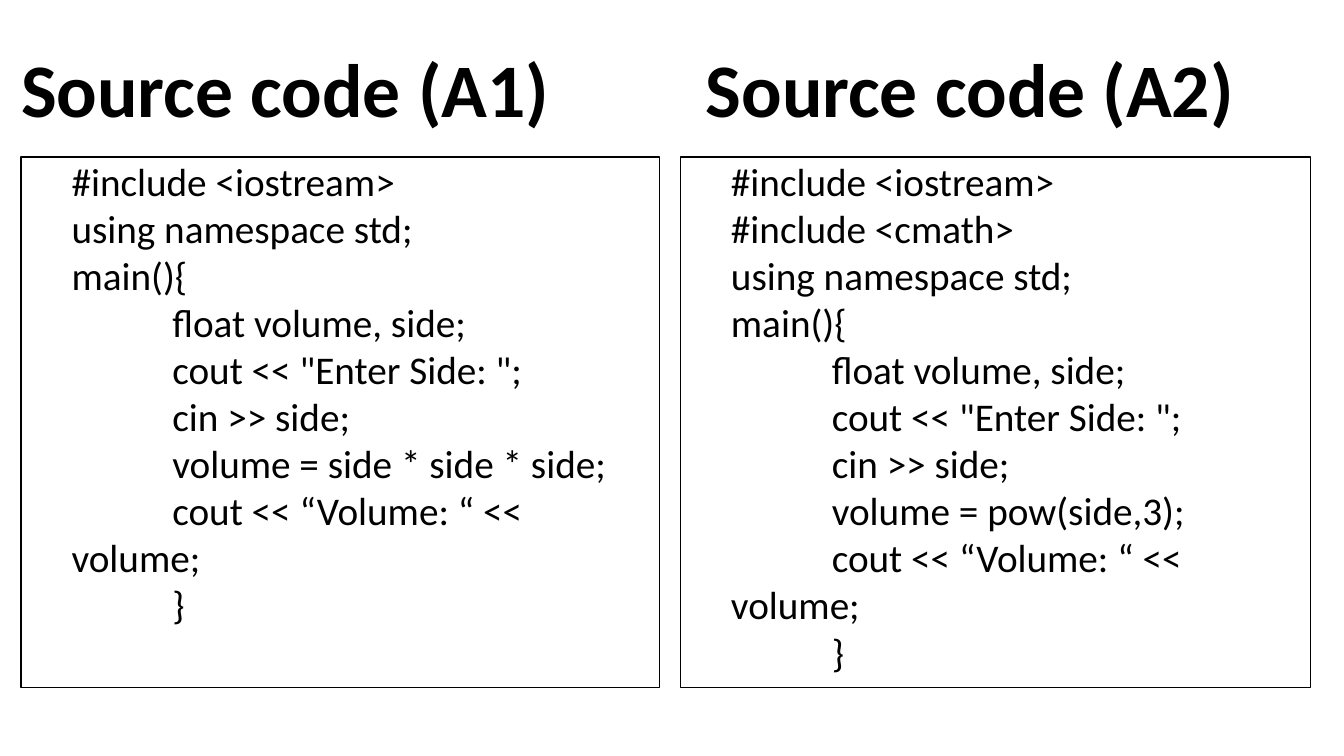
from pptx import Presentation
from pptx.dml.color import RGBColor
from pptx.enum.shapes import MSO_SHAPE
from pptx.enum.text import MSO_ANCHOR, PP_ALIGN
from pptx.util import Inches, Pt

FONT = "Calibri"
COLORS = {"ink": "000000", "paper": "FFFFFF"}

CODE_A1 = """#include <iostream>
using namespace std;
main(){
\tfloat volume, side;
\tcout << "Enter Side: ";
\tcin >> side;
\tvolume = side * side * side;
\tcout << “Volume: “ << volume;
\t}"""
CODE_A2 = CODE_A1.replace("using", "#include <cmath>\nusing").replace(
    "side * side * side", "pow(side,3)")


def color(name):
    return RGBColor.from_string(COLORS[name])


def set_frame(tf, right=0):
    tf.word_wrap = True
    tf.vertical_anchor = MSO_ANCHOR.TOP
    tf.margin_left = tf.margin_top = tf.margin_bottom = 0
    tf.margin_right = Inches(right)


def format_text(p, size, bold=False):
    p.alignment = PP_ALIGN.LEFT
    for r in p.runs:
        r.font.name = FONT
        r.font.size = Pt(size)
        r.font.bold = bold
        r.font.color.rgb = color("ink")


def add_title(slide, left, text):
    sp = slide.shapes.add_textbox(Inches(left), Inches(0.42), Inches(6.33), Inches(0.8))
    tf = sp.text_frame
    set_frame(tf)
    tf.text = text
    format_text(tf.paragraphs[0], 54, bold=True)


def add_code_box(slide, left, width, code):
    sp = slide.shapes.add_shape(MSO_SHAPE.RECTANGLE, Inches(left), Inches(1.56),
                                Inches(width), Inches(5.26))
    sp.shadow.inherit = False
    sp.fill.solid()
    sp.fill.fore_color.rgb = color("paper")
    sp.line.color.rgb = color("ink")
    sp.line.width = Pt(1)
    tf = sp.text_frame
    set_frame(tf, right=0.1)
    tf.text = code
    for p in tf.paragraphs:
        format_text(p, 28)
        p.level = 1
        pPr = p._p.get_or_add_pPr()
        pPr.set("marL", str(Inches(0.5)))
        pPr.set("indent", "0")
        pPr.set("defTabSz", str(Inches(1)))


def main():
    prs = Presentation()
    prs.slide_width, prs.slide_height = Inches(13.33), Inches(7.5)
    slide = prs.slides.add_slide(prs.slide_layouts[6])
    add_title(slide, 0.21, "Source code (A1)")
    add_code_box(slide, 0.21, 6.33, CODE_A1)
    add_title(slide, 7, "Source code (A2)")
    add_code_box(slide, 6.75, 6.25, CODE_A2)
    prs.save("out.pptx")


if __name__ == "__main__":
    main()
